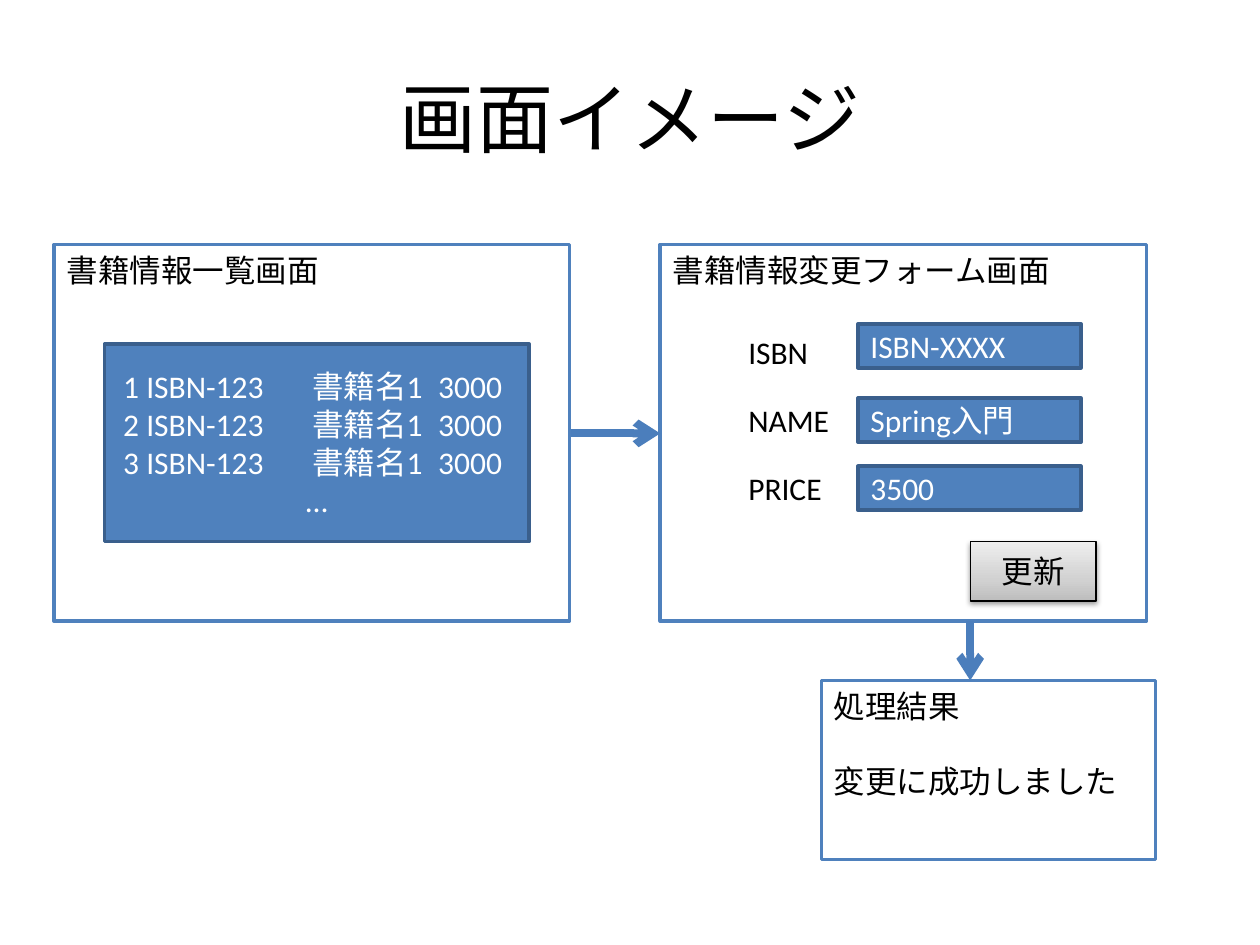
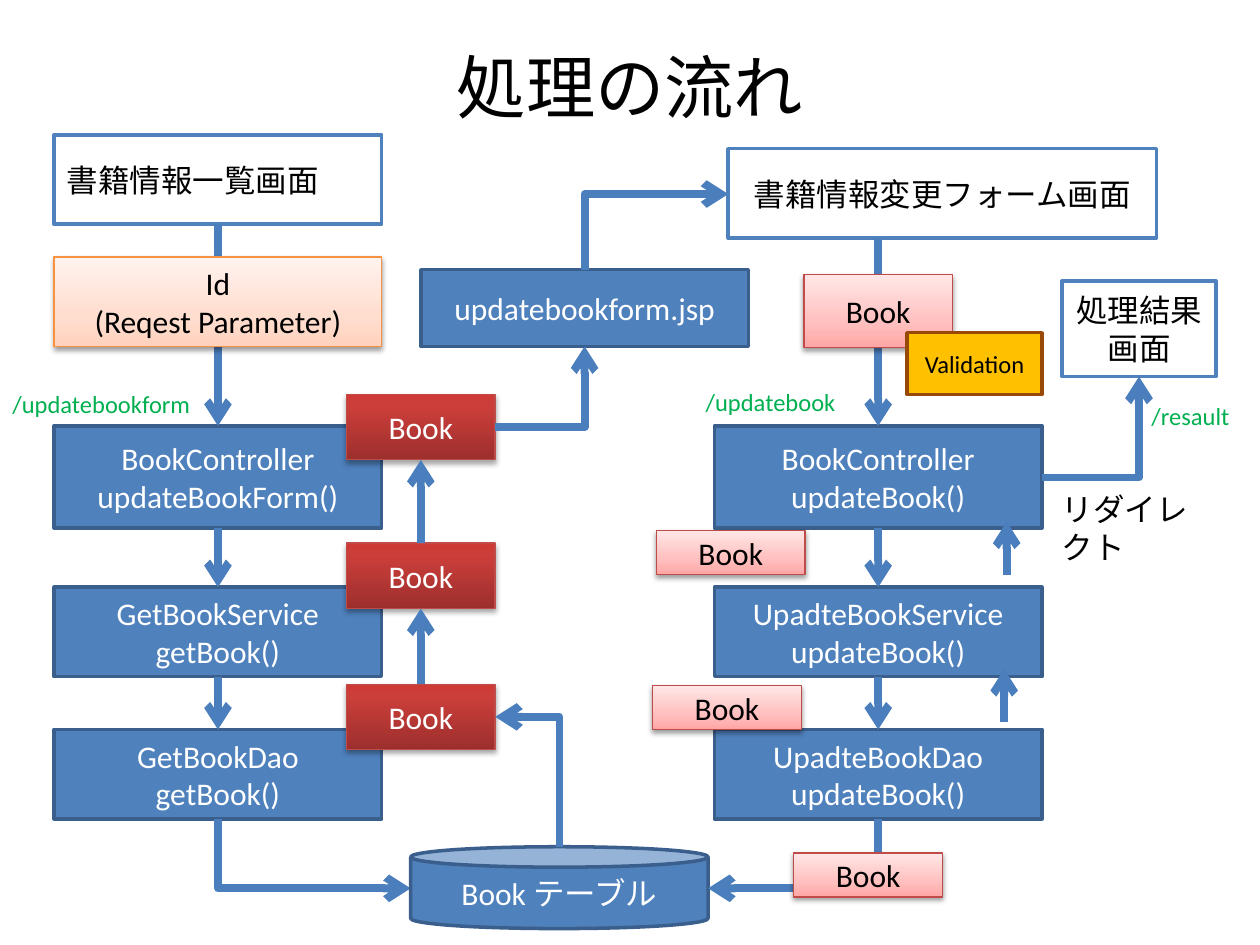
from dataclasses import dataclass

from lxml.etree import SubElement
from pptx import Presentation
from pptx.dml.color import RGBColor
from pptx.enum.shapes import MSO_CONNECTOR, MSO_SHAPE
from pptx.enum.text import MSO_ANCHOR, PP_ALIGN
from pptx.oxml.ns import qn
from pptx.util import Inches, Pt

FONT = "Calibri"
BLACK = RGBColor(0x00, 0x00, 0x00)
WHITE = RGBColor(0xFF, 0xFF, 0xFF)
BLUE = RGBColor(0x4F, 0x81, 0xBD)
DARK_BLUE = RGBColor(0x3A, 0x5F, 0x8C)
ARROW_BLUE = RGBColor(0x4B, 0x7E, 0xBC)
RED = RGBColor(0xBF, 0x4C, 0x48)
ORANGE = RGBColor(0xF6, 0x92, 0x40)
GREEN = RGBColor(0x00, 0xB0, 0x50)
AMBER = RGBColor(0xFF, 0xC0, 0x00)
BROWN = RGBColor(0x98, 0x48, 0x07)


def stops(middle, *colours):
    return tuple(zip((0, middle, 100), map(RGBColor.from_string, colours)))


GREY_SHADES = stops(35, "BDBDBD", "D1D1D1", "EEEEEE")
RED_SHADES = stops(80, "9C2F2D", "CB3E3A", "CE3B37")
PINK_SHADES = stops(35, "FFA6A5", "FFC0BF", "FFE7E7")
PEACH_SHADES = stops(35, "FFD2BD", "FFDED0", "FFF2ED")


@dataclass
class Style:
    fill: object
    line: RGBColor
    text: RGBColor = BLACK
    weight: float = 2
    shadow: tuple = None


SCREEN = Style(WHITE, BLUE)
PROCESS = Style(BLUE, DARK_BLUE, WHITE)
BUTTON = Style(GREY_SHADES, BLACK, BLACK, 0.75, (38, 1.6))
LOADED_BOOK = Style(RED_SHADES, RED, WHITE, 0.75, (35, 1.8))
SENT_BOOK = Style(PINK_SHADES, RED, BLACK, 0.75, (38, 1.6))
PARAMETER = Style(PEACH_SHADES, ORANGE, BLACK, 0.75, (38, 1.6))
CHECK = Style(AMBER, BROWN)


@dataclass
class Box:
    left: float
    top: float
    width: float
    height: float

    def area(self, dx, dy, width, height):
        return Box(self.left + dx, self.top + dy, width, height)

    def point(self, dx, dy):
        return self.left + dx, self.top + dy

    def lengths(self):
        return [Inches(v) for v in (self.left, self.top, self.width, self.height)]


def write(frame, text, size, colour, align, anchor):
    frame.vertical_anchor = anchor
    for index, line in enumerate(text.split("\n")):
        paragraph = frame.add_paragraph() if index else frame.paragraphs[0]
        paragraph.alignment = align
        run = paragraph.add_run()
        run.text = line
        run.font.name = FONT
        run.font.size = Pt(size)
        run.font.color.rgb = colour


def shade(shape, colours):
    shape.fill.gradient()
    shape.fill.gradient_angle = 90
    stop_list = shape._element.spPr.find(".//" + qn("a:gsLst"))
    for old_stop in list(stop_list):
        stop_list.remove(old_stop)
    for position, colour in colours:
        stop = SubElement(stop_list, qn("a:gs"), pos=str(position * 1000))
        SubElement(stop, qn("a:srgbClr"), val=str(colour))


def cast_shadow(shape, opacity, distance):
    effects = shape._element.spPr.find(qn("a:effectLst"))
    shadow = SubElement(effects, qn("a:outerShdw"), blurRad=str(Pt(3.1)),
                        dist=str(Pt(distance)), dir="5400000", rotWithShape="0")
    colour = SubElement(shadow, qn("a:srgbClr"), val=str(BLACK))
    SubElement(colour, qn("a:alpha"), val=str(opacity * 1000))


def block(slide, box, text, style, align=PP_ALIGN.CENTER, anchor=MSO_ANCHOR.MIDDLE,
          size=18, outline=MSO_SHAPE.RECTANGLE):
    shape = slide.shapes.add_shape(outline, *box.lengths())
    if isinstance(style.fill, tuple) and not isinstance(style.fill, RGBColor):
        shade(shape, style.fill)
    else:
        shape.fill.solid()
        shape.fill.fore_color.rgb = style.fill
    shape.line.color.rgb = style.line
    shape.line.width = Pt(style.weight)
    shape.shadow.inherit = False
    if style.shadow:
        cast_shadow(shape, *style.shadow)
    shape.text_frame.word_wrap = True
    write(shape.text_frame, text, size, style.text, align, anchor)
    return shape


def label(slide, box, text, size=18, colour=BLACK, align=PP_ALIGN.LEFT,
          anchor=MSO_ANCHOR.TOP, wrap=True):
    caption = slide.shapes.add_textbox(*box.lengths())
    caption.text_frame.word_wrap = wrap
    write(caption.text_frame, text, size, colour, align, anchor)


def title(slide, box, text, size):
    label(slide, box, text, size, align=PP_ALIGN.CENTER, anchor=MSO_ANCHOR.MIDDLE)


def finish_arrow(connector):
    connector.line.color.rgb = ARROW_BLUE
    connector.line.width = Pt(4.5)
    outline = connector._element.spPr.find(qn("a:ln"))
    SubElement(outline, qn("a:tailEnd"), type="arrow")
    SubElement(connector._element.spPr, qn("a:effectLst"))


def arrow(slide, start, end):
    ends = [Inches(v) for v in (*start, *end)]
    finish_arrow(slide.shapes.add_connector(MSO_CONNECTOR.STRAIGHT, *ends))


def corner_arrow(slide, start, end, vertical_first=True):
    (x1, y1), (x2, y2) = start, end
    turn = 0
    if vertical_first:
        down, right = y2 > y1, x2 > x1
        turn = 90 if down else 270
        middle_x, middle_y = (x1 + x2) / 2, (y1 + y2) / 2
        half_width, half_height = abs(y2 - y1) / 2, abs(x2 - x1) / 2
        if down == right:
            half_height = -half_height
        x1, x2 = middle_x - half_width, middle_x + half_width
        y1, y2 = middle_y - half_height, middle_y + half_height
    ends = [Inches(v) for v in (x1, y1, x2, y2)]
    connector = slide.shapes.add_connector(MSO_CONNECTOR.ELBOW, *ends)
    properties = connector._element.spPr
    properties.find(qn("a:prstGeom")).set("prst", "bentConnector2")
    if turn:
        properties.find(qn("a:xfrm")).set("rot", str(turn * 60000))
    finish_arrow(connector)


def screen(slide, box, text):
    return block(slide, box, text, SCREEN, PP_ALIGN.LEFT, MSO_ANCHOR.TOP)


def list_screen(slide, box):
    screen(slide, box, "書籍情報一覧画面")
    rows = [f"{number} ISBN-123\t書籍名1\t3000" for number in (1, 2, 3)]
    listing = block(slide, box.area(0.4, 0.79, 3.37, 1.57), "\n".join(rows + ["…"]), PROCESS)
    for paragraph in listing.text_frame.paragraphs[:-1]:
        paragraph.alignment = PP_ALIGN.LEFT
        properties = paragraph._p.get_or_add_pPr()
        properties.set("marL", str(Inches(0.05)))
        properties.set("indent", "0")
        tabs = SubElement(properties, qn("a:tabLst"))
        for position in (1.5, 2.61):
            SubElement(tabs, qn("a:tab"), pos=str(Inches(position)), algn="l")


def form_screen(slide, box):
    screen(slide, box, "書籍情報変更フォーム画面")
    fields = [("ISBN", 0.65, "ISBN-XXXX", 0.63),
              ("NAME", 1.19, "Spring入門", 1.22),
              ("PRICE", 1.73, "3500", 1.76)]
    for name, name_top, value, value_top in fields:
        label(slide, box.area(0.6, name_top, 0.85, 0.4), name, wrap=False)
        block(slide, box.area(1.57, value_top, 1.77, 0.35), value, PROCESS, PP_ALIGN.LEFT)
    block(slide, box.area(2.46, 2.36, 1, 0.47), "更新", BUTTON)


def result_screen(slide, box):
    result = screen(slide, box, "処理結果\n変更に成功しました")
    result.text_frame.paragraphs[1].space_before = Pt(21.6)


def pipeline(slide, box, steps):
    middle = box.width / 2
    layers = [(0, 0.81), (1.28, 0.71), (2.41, 0.71)]
    for (top, height), step in zip(layers, steps):
        block(slide, box.area(0, top, box.width, height), step, PROCESS)
    for (top, height), (next_top, _) in zip(layers, layers[1:]):
        arrow(slide, box.point(middle, top + height), box.point(middle, next_top))


def load_flow(slide, box):
    block(slide, box.area(0, 0, 2.6, 0.71), "書籍情報一覧画面", SCREEN, PP_ALIGN.LEFT)
    pipeline(slide, box.area(0, 2.31, 2.6, 3.12),
             ["BookController\nupdateBookForm()", "GetBookService\ngetBook()",
              "GetBookDao\ngetBook()"])
    arrow(slide, box.point(1.3, 0.71), box.point(1.3, 2.31))
    block(slide, box.area(0, 0.97, 2.6, 0.71), "Id\n(Reqest Parameter)", PARAMETER)
    label(slide, box.area(-0.55, 1.97, 1.73, 0.34), "/updatebookform", 14, GREEN, PP_ALIGN.RIGHT)
    book_tops = (2.06, 3.24, 4.36)
    for top in book_tops:
        block(slide, box.area(2.32, top, 1.18, 0.52), "Book", LOADED_BOOK)
    for upper, lower in zip(book_tops, book_tops[1:]):
        arrow(slide, box.point(2.91, lower), box.point(2.91, upper + 0.52))
    block(slide, box.area(2.91, 1.07, 2.6, 0.61), "updatebookform.jsp", PROCESS)
    corner_arrow(slide, box.point(3.5, 2.32), box.point(4.21, 1.68), vertical_first=False)
    corner_arrow(slide, box.point(4.21, 1.07), box.point(5.35, 0.47))
    corner_arrow(slide, box.point(1.3, 5.43), box.point(2.83, 5.98))


def book_table(slide, box):
    block(slide, box, "Book テーブル", PROCESS, outline=MSO_SHAPE.CAN)
    corner_arrow(slide, box.point(box.width / 2, 0), box.point(0.67, -1.03))


def update_flow(slide, box):
    block(slide, box.area(0.11, 0, 3.4, 0.71), "書籍情報変更フォーム画面", SCREEN)
    pipeline(slide, box.area(0, 2.2, 2.6, 3.12),
             ["BookController\nupdateBook()", "UpadteBookService\nupdateBook()",
              "UpadteBookDao\nupdateBook()"])
    arrow(slide, box.point(1.3, 0.71), box.point(1.3, 2.2))
    corner_arrow(slide, box.point(1.3, 5.32), box.point(-0.05, 5.87))
    for left, top in ((2.32, 3.38), (2.3, 4.55)):
        arrow(slide, box.point(left, top), box.point(left, top - 0.42))
    sent_books = [(0.71, 1.0, 0.58), (-0.46, 3.03, 0.35), (-0.49, 4.26, 0.35), (0.63, 5.59, 0.35)]
    for left, top, height in sent_books:
        block(slide, box.area(left, top, 1.18, height), "Book", SENT_BOOK)
    block(slide, box.area(1.53, 1.46, 1.07, 0.49), "Validation", CHECK, size=14)
    label(slide, box.area(-0.67, 1.84, 1.73, 0.34), "/updatebook", 14, GREEN, PP_ALIGN.RIGHT)
    block(slide, box.area(2.76, 1.05, 1.22, 0.76), "処理結果画面", SCREEN)
    corner_arrow(slide, box.point(2.6, 2.61), box.point(3.37, 1.81), vertical_first=False)
    label(slide, box.area(2.66, 2.66, 1.41, 0.4), "リダイレクト")
    label(slide, box.area(3.37, 1.95, 0.85, 0.34), "/resault", 14, GREEN)


def screens_slide(slide):
    title(slide, Box(0.5, 0.3, 9, 1.25), "画面イメージ", 44)
    list_screen(slide, Box(0.43, 1.94, 4.09, 2.99))
    form_screen(slide, Box(5.24, 1.94, 3.86, 2.99))
    result_screen(slide, Box(6.52, 5.4, 2.65, 1.42))
    arrow(slide, (4.53, 3.44), (5.24, 3.44))
    arrow(slide, (7.7, 4.93), (7.7, 5.4))


def flow_slide(slide):
    title(slide, Box(0.5, 0.3, 9, 0.77), "処理の流れ", 39.6)
    load_flow(slide, Box(0.43, 1.07, 5.51, 5.98))
    book_table(slide, Box(3.26, 6.72, 2.36, 0.65))
    update_flow(slide, Box(5.67, 1.18, 4.22, 5.94))


deck = Presentation()
deck.slide_width = Inches(10)
deck.slide_height = Inches(7.5)
for build in (screens_slide, flow_slide):
    build(deck.slides.add_slide(deck.slide_layouts[6]))
deck.save("out.pptx")
